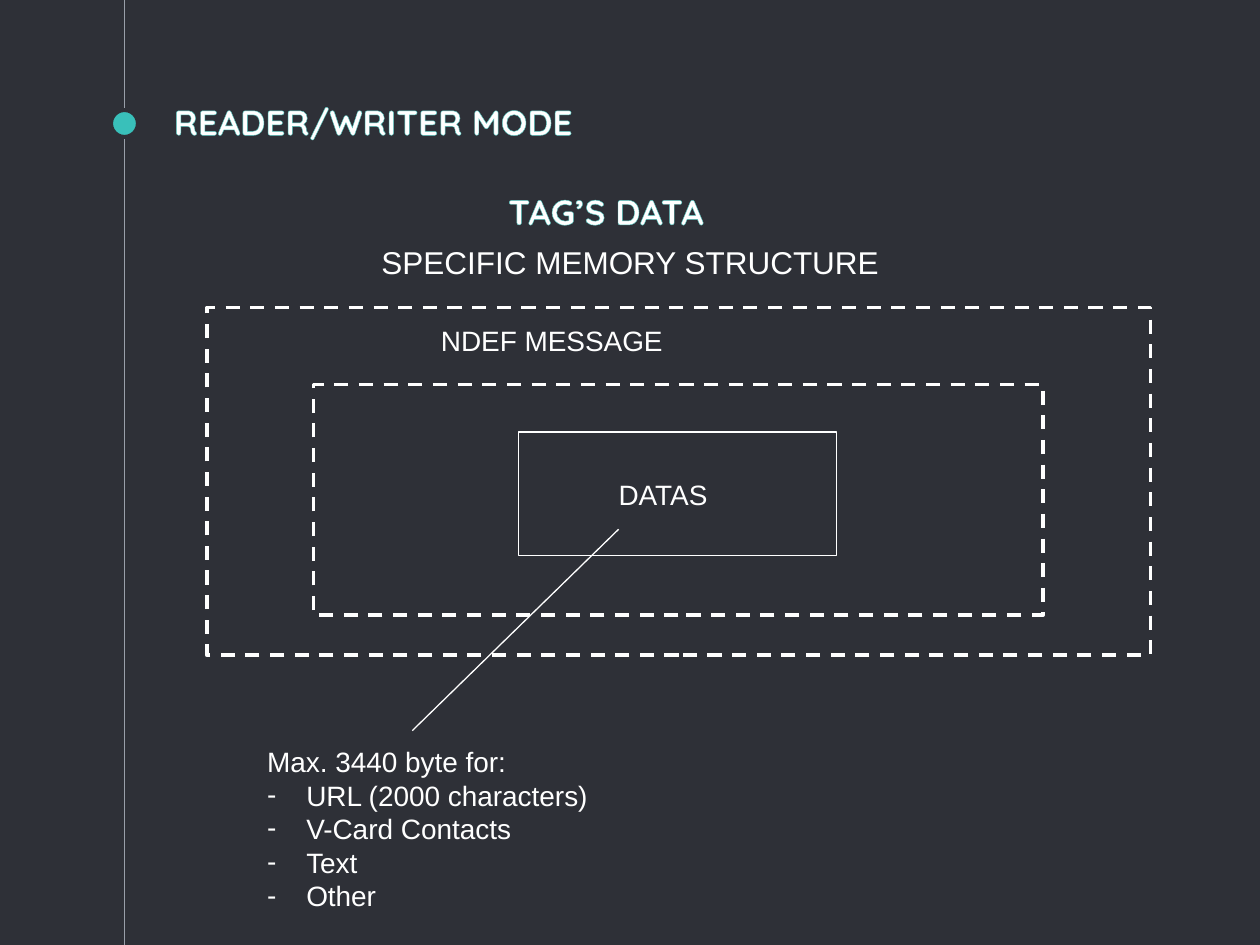
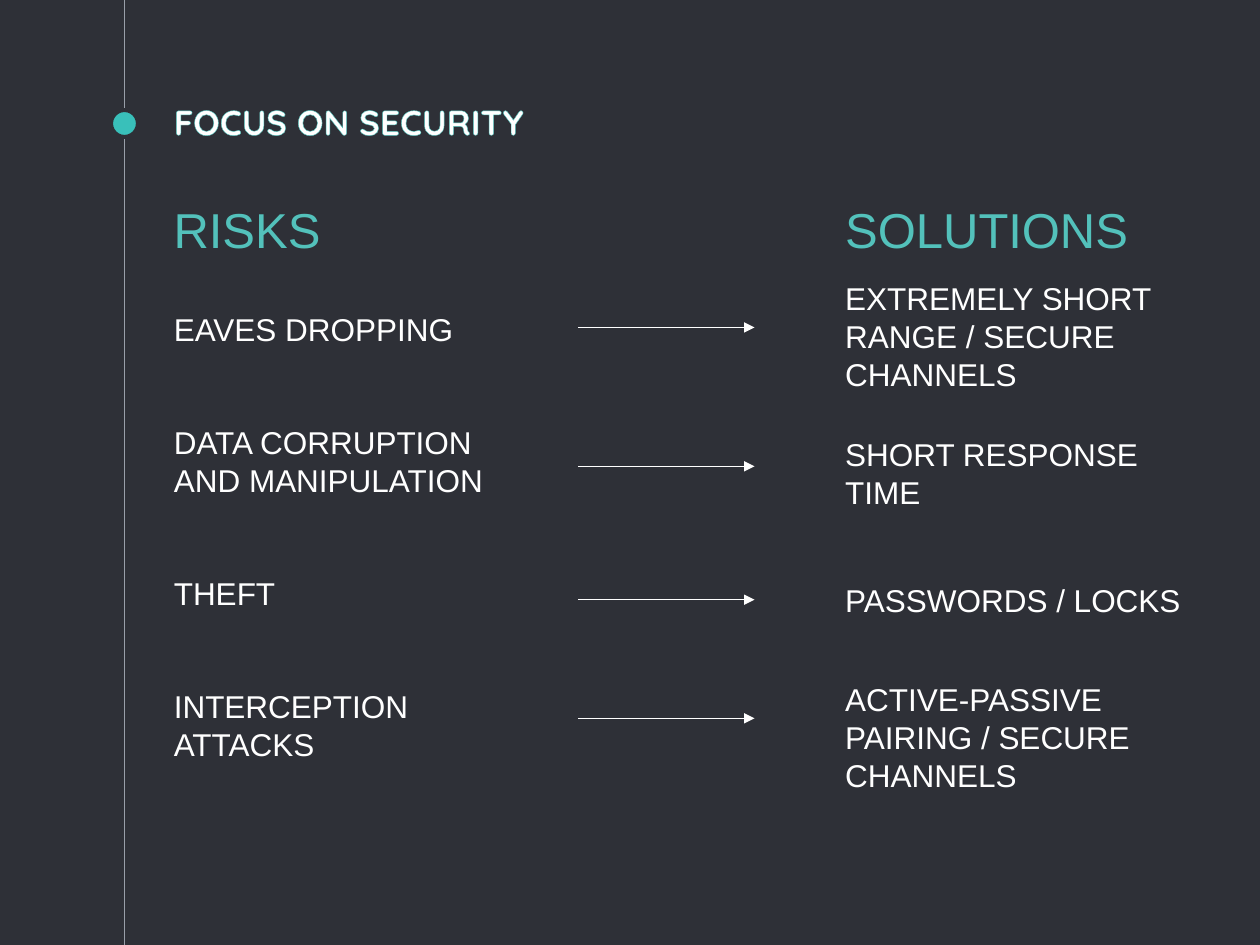
from lxml import etree
from pptx import Presentation
from pptx.dml.color import RGBColor
from pptx.enum import dml, shapes, text
from pptx.oxml import ns
from pptx.util import Cm, Pt

DARK, WHITE, GREY = "2E3037", "FFFFFF", "999FA9"
TEAL, DOT = "53C1BB", "39C0BA"
BODY_FONT, HEAD_FONT = "Arial", "Quicksand"
rgb = RGBColor.from_string


def add_line(s, x1, y1, x2, y2, color=WHITE, arrow=False):
    line = s.shapes.add_connector(shapes.MSO_CONNECTOR.STRAIGHT,
                                  Cm(x1), Cm(y1), Cm(x2), Cm(y2))
    line.line.color.rgb = rgb(color)
    line.line.width = Pt(0.75)
    if arrow:
        etree.SubElement(line.line._get_or_add_ln(), ns.qn("a:tailEnd"), type="triangle")
    etree.SubElement(line.element.spPr, ns.qn("a:effectLst"))
    return line


def put_text(sp, lines, x, y, w, h, size, color=WHITE, heading=False, gap=0):
    """Place a text box or placeholder; a line starting with '- ' is a bullet."""
    sp.left, sp.top, sp.width, sp.height = Cm(x), Cm(y), Cm(w), Cm(h)
    tf = sp.text_frame
    tf.word_wrap = True
    tf.auto_size = text.MSO_AUTO_SIZE.NONE
    tf.vertical_anchor = text.MSO_ANCHOR.TOP
    if heading:
        tf.margin_top = tf.margin_bottom = Cm(0.25)
    for i, line in enumerate(lines):
        p = tf.add_paragraph() if i else tf.paragraphs[0]
        p.alignment = text.PP_ALIGN.LEFT
        p.space_before = Pt(gap if i else 0)
        bullet = line.startswith("- ")
        pPr = p._p.get_or_add_pPr()
        pPr.set("marL", str(Cm(0.79) if bullet else 0))
        pPr.set("indent", str(-Cm(0.79) if bullet else 0))
        if bullet:
            etree.SubElement(pPr, ns.qn("a:buChar"), char="-")
        else:
            etree.SubElement(pPr, ns.qn("a:buNone"))
        r = p.add_run()
        r.text = line.removeprefix("- ")
        r.font.name = HEAD_FONT if heading else BODY_FONT
        r.font.size = Pt(size)
        r.font.bold = heading
        r.font.color.rgb = rgb(color)
    if heading:  # thin teal outline around the letters
        for rPr in sp.element.iter(ns.qn("a:rPr")):
            ln = etree.Element(ns.qn("a:ln"), w=str(Pt(0.75)))
            fill = etree.SubElement(ln, ns.qn("a:solidFill"))
            etree.SubElement(fill, ns.qn("a:srgbClr"), val=TEAL)
            rPr.insert(0, ln)
    return tf


prs = Presentation()
prs.slide_width, prs.slide_height = Cm(25.4), Cm(19.05)
master = prs.slide_master
master.background.fill.solid()
master.background.fill.fore_color.rgb = rgb(DARK)

# Slides with their titles
slides = []
for title in ("READER/WRITER MODE", "FOCUS ON SECURITY"):
    s = prs.slides.add_slide(prs.slide_layouts[1])
    tf = put_text(s.shapes.title, [title], 3.25, 1.85, 19.05, 1.27, 20, heading=True)
    tf.vertical_anchor = text.MSO_ANCHOR.BOTTOM
    slides.append(s)
memory, security = slides

# Timeline and dot, moved to the master
spine = add_line(memory, 2.51, 0, 2.51, 19.05, GREY)
dot = memory.shapes.add_shape(shapes.MSO_SHAPE.OVAL, Cm(2.24), Cm(2.22), Cm(0.54), Cm(0.54))
dot.shadow.inherit = False
dot.fill.solid()
dot.fill.fore_color.rgb = rgb(DOT)
dot.line.color.rgb = rgb(DARK)
dot.line.width = Pt(2.25)
for i, sp in enumerate((spine, dot)):
    master.shapes.element.insert(2 + i, sp.element)

# Slide 1: headings
sp = memory.shapes.add_textbox(0, 0, 0, 0)
tf = put_text(sp, ["TAG’S DATA"], 2.69, 3.58, 19.05, 1.27, 20, heading=True)
tf.paragraphs[0].alignment = text.PP_ALIGN.CENTER

# Slide 1: nested memory boxes
for x, y, w, h, width, dashed in ((4.17, 6.2, 19.02, 7.01, 2, True),
                                  (6.32, 7.75, 14.71, 4.65, 2, True),
                                  (10.46, 8.71, 6.4, 2.49, 0.75, False)):
    box = memory.shapes.add_shape(shapes.MSO_SHAPE.RECTANGLE, Cm(x), Cm(y), Cm(w), Cm(h))
    box.shadow.inherit = False
    box.fill.background()
    box.line.color.rgb = rgb(WHITE)
    box.line.width = Pt(width)
    if dashed:
        box.line.dash_style = dml.MSO_LINE.DASH

for label, x, y, w, size in (("SPECIFIC MEMORY STRUCTURE", 7.44, 4.78, 10.8, 18),
                             ("NDEF MESSAGE", 8.64, 6.4, 5.2, 16),
                             ("DATAS", 12.22, 9.5, 2.6, 16)):
    put_text(memory.shapes.add_textbox(0, 0, 0, 0), [label], x, y, w, 1, size)

# Slide 1: what the data can hold
add_line(memory, 12.47, 10.67, 8.31, 14.73)
put_text(memory.placeholders[1],
         ["Max. 3440 byte for:", "- URL (2000 characters)", "- V-Card Contacts",
          "- Text", "- Other"], 5.13, 14.88, 7.6, 4, 16)

# Slide 2: column headings and risks
for heading, x in (("RISKS", 3.25), ("SOLUTIONS", 16.79)):
    put_text(security.shapes.add_textbox(0, 0, 0, 0), [heading], x, 3.89, 6.6, 1.45, 28, TEAL)
put_text(security.placeholders[1],
         ["EAVES DROPPING", "DATA CORRUPTION AND MANIPULATION", "THEFT",
          "INTERCEPTION ATTACKS"], 3.25, 6.12, 6.86, 9.5, 18, gap=43)

# Slide 2: arrows and solutions
for arrow_y, y, w, h, solution in (
        (6.6, 5.51, 6.86, 2.57, "EXTREMELY SHORT RANGE / SECURE CHANNELS"),
        (9.4, 8.64, 6.86, 1.8, "SHORT RESPONSE TIME"),
        (12.09, 11.58, 7.9, 1.02, "PASSWORDS / LOCKS"),
        (14.48, 13.59, 6.86, 2.57, "ACTIVE-PASSIVE PAIRING / SECURE CHANNELS")):
    add_line(security, 11.66, arrow_y, 15.21, arrow_y, arrow=True)
    put_text(security.shapes.add_textbox(0, 0, 0, 0), [solution], 16.79, y, w, h, 18)

prs.save("out.pptx")
